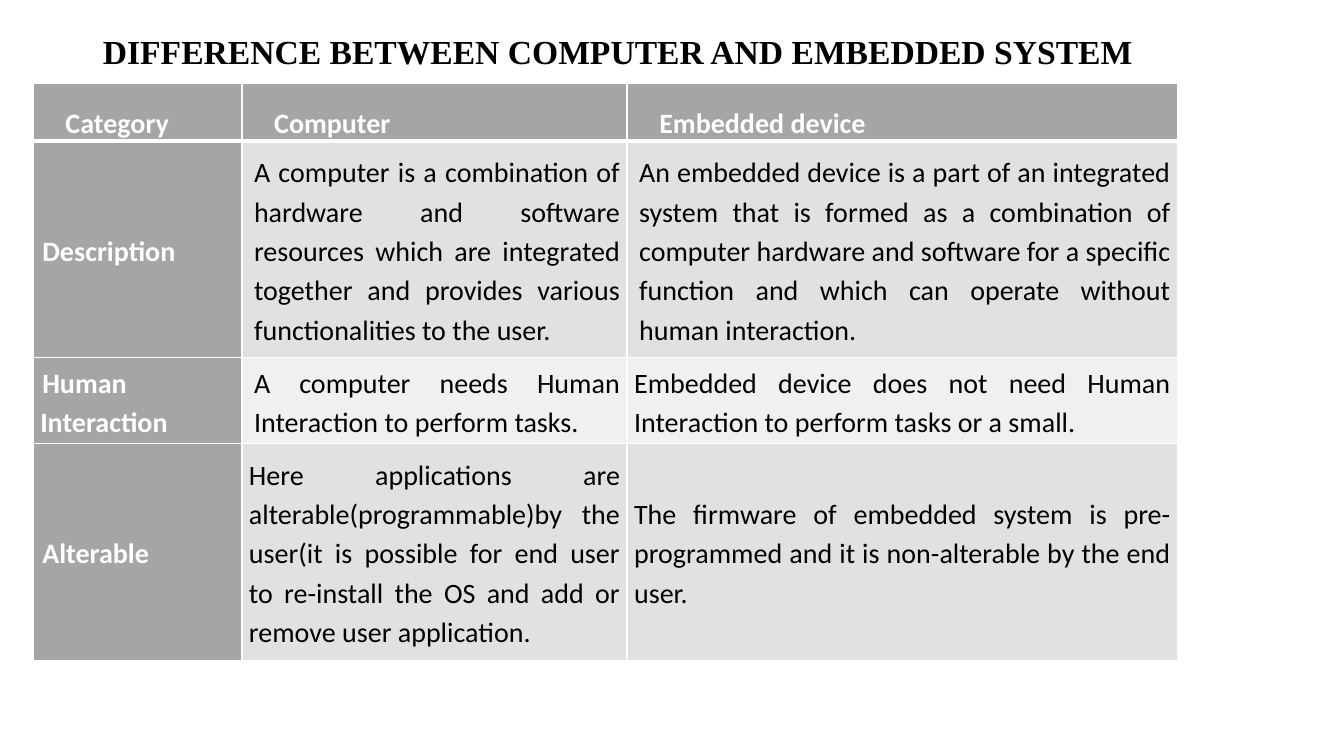
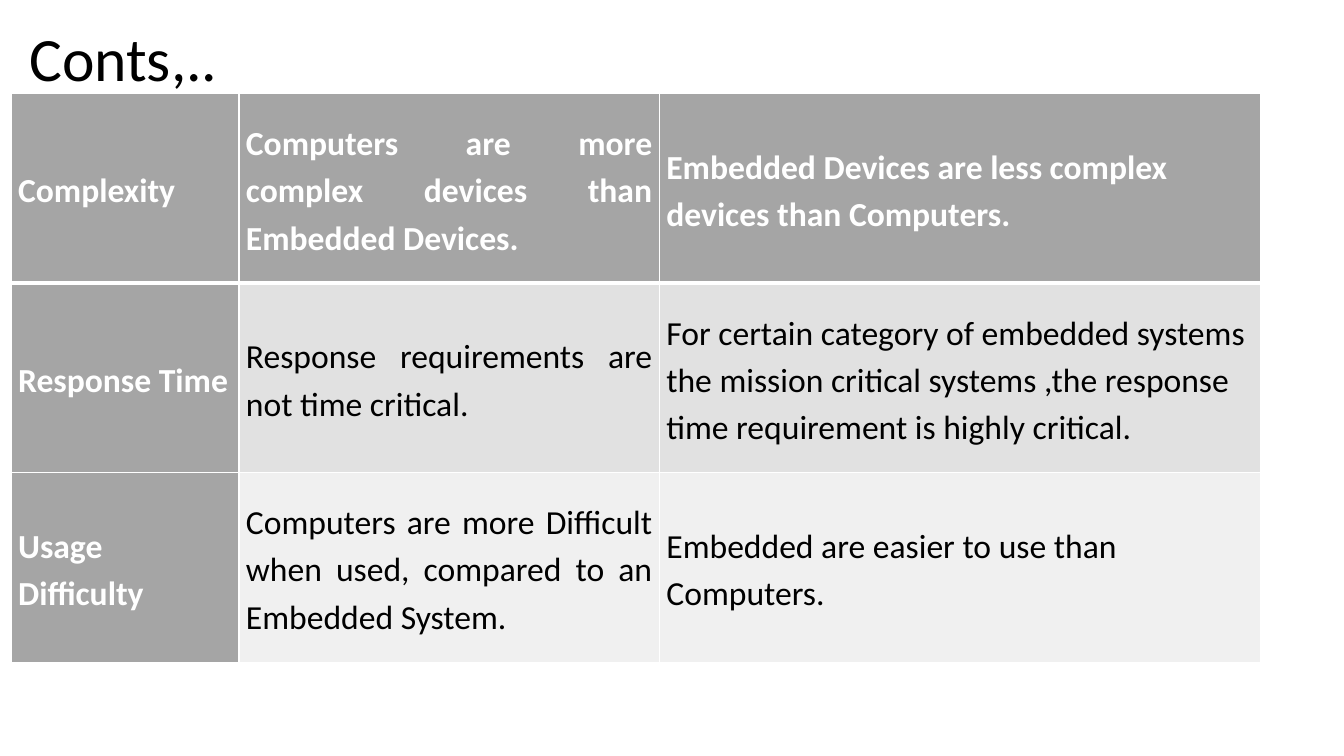
from lxml import etree
from pptx import Presentation
from pptx.dml.color import RGBColor
from pptx.enum.text import MSO_ANCHOR, MSO_AUTO_SIZE, PP_ALIGN
from pptx.oxml.ns import qn
from pptx.util import Inches, Pt

LEFT, JUSTIFY = PP_ALIGN.LEFT, PP_ALIGN.JUSTIFY
MIDDLE, BOTTOM = MSO_ANCHOR.MIDDLE, MSO_ANCHOR.BOTTOM
TITLE_ONLY = 5
COLORS = {"heading": "A5A5A5", "odd": "E1E1E1", "even": "F0F0F0",
          "light": "FFFFFF", "dark": "000000"}
BODY_FONT = "Calibri"
THIN, THICK = 1, 3

# Column alignments apply below the header; indents are (left, first line) in inches.
NONE, HEADER, LABEL, INSET = (0, 0), (0.25, 0), (0, 0.02), (0.05, 0)
SLIDES = [
    {
        "title": "DIFFERENCE BETWEEN COMPUTER AND EMBEDDED SYSTEM",
        "title_box": (0.92, 0.14, 11.5, 0.79),
        "title_font": ("Times New Roman", 24, True),
        "origin": (0.33, 0.83),
        "columns": (2.07, 3.82, 5.46),
        "row_heights": (0.57, 2.15, 0.85, 2.15),
        "size": 20,
        "header_anchor": BOTTOM,
        "header_alignments": (LEFT, LEFT, LEFT),
        "alignments": (JUSTIFY, JUSTIFY, JUSTIFY),
        "indents": [(HEADER, HEADER, HEADER), (LABEL, INSET, INSET),
                    (LABEL, INSET, NONE), (LABEL, NONE, NONE)],
        "rows": [
            ("Category", "Computer", "Embedded device"),
            ("Description",
             "A computer is a combination of hardware and software resources which are "
             "integrated together and provides various functionalities to the user.",
             "An embedded device is a part of an integrated system that is formed as a "
             "combination of computer hardware and software for a specific function and "
             "which can operate without human interaction."),
            ("Human Interaction",
             "A computer needs Human Interaction to perform tasks.",
             "Embedded device does not need Human Interaction to perform tasks or a small."),
            ("Alterable",
             "Here applications are alterable(programmable)by the user(it is possible for "
             "end user to re-install the OS and add or remove user application.",
             "The firmware of embedded system is pre-programmed and it is non-alterable by "
             "the end user."),
        ],
    },
    {
        "title": "Conts,..",
        "title_box": (0.19, 0.17, 12.22, 0.88),
        "title_font": (BODY_FONT, 44, False),
        "origin": (0.11, 0.93),
        "columns": (2.26, 4.17, 5.96),
        "row_heights": (1.88,) * 3,
        "size": 24,
        "header_anchor": MIDDLE,
        "header_alignments": (LEFT, JUSTIFY, LEFT),
        "alignments": (LEFT, JUSTIFY, LEFT),
        "indents": [(NONE,) * 3] * 3,
        "rows": [
            ("Complexity",
             "Computers are more complex devices than Embedded Devices.",
             "Embedded Devices are less complex devices than Computers."),
            ("Response Time",
             "Response requirements are not time critical.",
             "For certain category of embedded systems the mission critical systems ,the "
             "response time requirement is highly critical."),
            ("Usage Difficulty",
             "Computers are more Difficult when used, compared to an Embedded System.",
             "Embedded are easier to use than Computers."),
        ],
    },
]


def color(name):
    return RGBColor.from_string(COLORS[name])


def set_font(paragraph, name, size, bold, color_name):
    font = paragraph.font
    font.name, font.size, font.bold = name, Pt(size), bold
    font.color.rgb = color(color_name)


def add_title(slide, content):
    title = slide.shapes.title
    title.left, title.top, title.width, title.height = map(Inches, content["title_box"])
    frame = title.text_frame
    frame.text = content["title"]
    frame.auto_size = MSO_AUTO_SIZE.NONE
    frame.vertical_anchor = MIDDLE
    paragraph = frame.paragraphs[0]
    paragraph.alignment, paragraph.line_spacing = LEFT, 0.9
    set_font(paragraph, *content["title_font"], "dark")


def set_borders(cell, row):
    """Draw white borders, with a thick rule under the header row."""
    properties = cell._tc.get_or_add_tcPr()
    top = THICK if row == 1 else THIN
    bottom = THICK if row == 0 else THIN
    for side, width in (("L", THIN), ("R", THIN), ("T", top), ("B", bottom)):
        line = etree.SubElement(properties, qn(f"a:ln{side}"), w=str(Pt(width)))
        fill = etree.SubElement(line, qn("a:solidFill"))
        etree.SubElement(fill, qn("a:srgbClr"), val=COLORS["light"])


def format_cell(cell, row, column, content):
    is_header = row == 0
    is_heading = is_header or column == 0
    set_borders(cell, row)
    cell.fill.solid()
    cell.fill.fore_color.rgb = color("heading" if is_heading else "odd" if row % 2 else "even")
    cell.margin_left = cell.margin_right = Inches(0.07)
    cell.margin_top = cell.margin_bottom = 0
    cell.vertical_anchor = content["header_anchor"] if is_header else MIDDLE

    cell.text = content["rows"][row][column]
    paragraph = cell.text_frame.paragraphs[0]
    paragraph.alignment = content["header_alignments" if is_header else "alignments"][column]
    paragraph.line_spacing = 1.15
    left, first_line = content["indents"][row][column]
    properties = paragraph._p.get_or_add_pPr()
    properties.set("marL", str(Inches(left)))
    properties.set("indent", str(Inches(first_line)))
    set_font(paragraph, BODY_FONT, content["size"], is_heading, "light" if is_heading else "dark")


def add_comparison_table(slide, content):
    columns, heights = content["columns"], content["row_heights"]
    size = sum(columns), sum(heights)
    table = slide.shapes.add_table(len(heights), len(columns),
                                   *map(Inches, content["origin"] + size)).table
    for column, width in zip(table.columns, columns):
        column.width = Inches(width)
    for row, height in zip(table.rows, heights):
        row.height = Inches(height)
    for row in range(len(heights)):
        for column in range(len(columns)):
            format_cell(table.cell(row, column), row, column, content)


def main():
    presentation = Presentation()
    presentation.slide_width, presentation.slide_height = Inches(13.33), Inches(7.5)
    for content in SLIDES:
        slide = presentation.slides.add_slide(presentation.slide_layouts[TITLE_ONLY])
        add_title(slide, content)
        add_comparison_table(slide, content)
    presentation.save("out.pptx")


if __name__ == "__main__":
    main()
